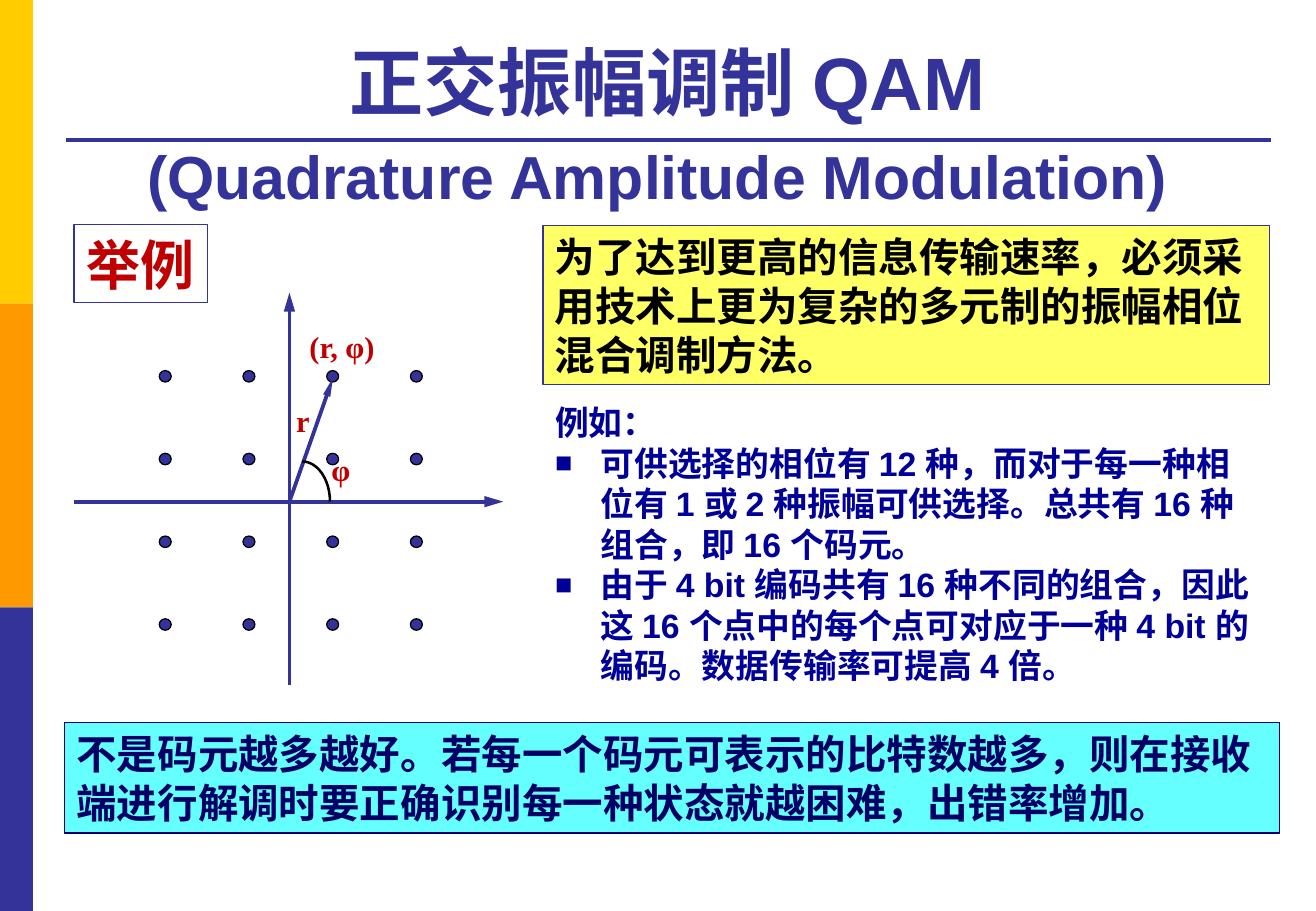
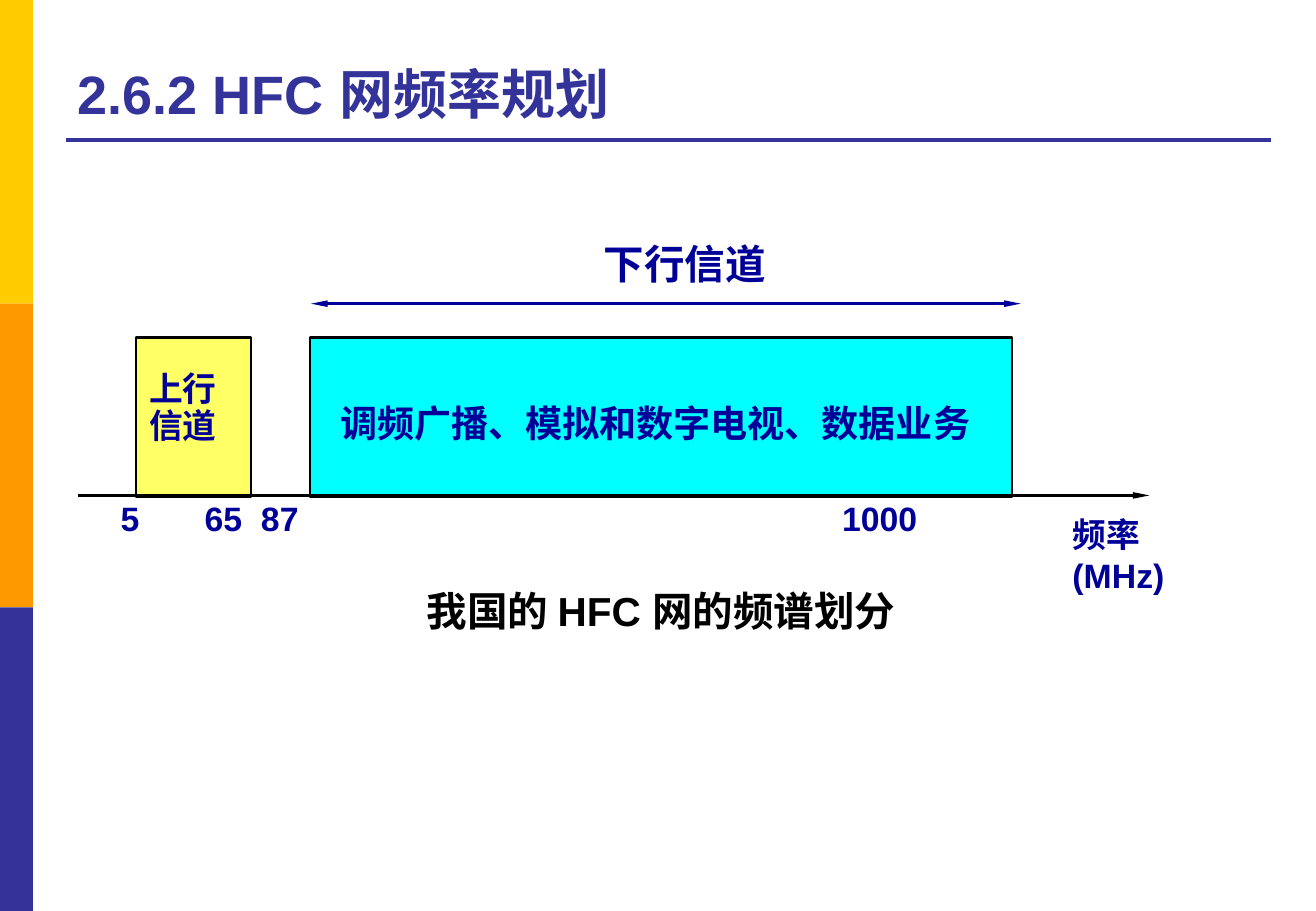
import itertools

import lxml.etree
import pptx
import pptx.dml.color
import pptx.enum.lang
import pptx.enum.shapes
import pptx.enum.text
import pptx.oxml.ns
import pptx.util

Cm = pptx.util.Cm
SHAPE = pptx.enum.shapes.MSO_SHAPE
ALIGN = pptx.enum.text.PP_ALIGN
ANCHOR = pptx.enum.text.MSO_ANCHOR

INDIGO, NAVY, BLACK, RED = "333399", "000099", "000000", "C00000"
YELLOW = "FFFF66"
BAND_COLORS = ("FFCC00", "FF9900", INDIGO)
WIDTH, HEIGHT = 27.51, 19.05


def color(value):
    return pptx.dml.color.RGBColor.from_string(value)


def inside(box, left, top, width, height):
    return box[0] + left, box[1] + top, width, height


def add_xml(parent, tag, **attributes):
    return lxml.etree.SubElement(parent, pptx.oxml.ns.qn(tag), **attributes)


def write_text(para, text, size=20, ink=NAVY, font="Arial"):
    span = para.add_run()
    span.text = text
    span.font.name = font
    span.font.size = pptx.util.Pt(size)
    span.font.bold = True
    span.font.color.rgb = color(ink)
    span.font.language_id = pptx.enum.lang.MSO_LANGUAGE_ID.SIMPLIFIED_CHINESE


def fill_frame(frame, lines, align=ALIGN.LEFT, wrap=True, spacing=None, **style):
    frame.word_wrap = wrap
    for index, line in enumerate(lines):
        para = frame.add_paragraph() if index else frame.paragraphs[0]
        para.alignment = align
        para.line_spacing = spacing
        write_text(para, line, **style)


def add_label(shapes, box, *lines, **style):
    label = shapes.add_textbox(*map(Cm, box))
    fill_frame(label.text_frame, lines, **style)


def add_shape(shapes, kind, box, fill=None, line=None, weight=0.75):
    shape = shapes.add_shape(kind, *map(Cm, box))
    shape.shadow.inherit = False
    if fill:
        shape.fill.solid()
        shape.fill.fore_color.rgb = color(fill)
    else:
        shape.fill.background()
    if line:
        shape.line.color.rgb = color(line)
        shape.line.width = pptx.util.Pt(weight)
    else:
        shape.line.fill.background()
    return shape


def add_text_block(shapes, box, text, fill=None, line=None, **style):
    block = add_shape(shapes, SHAPE.RECTANGLE, box, fill, line)
    fill_frame(block.text_frame, [text], **style)


def add_line(shapes, box, start, end, ink=INDIGO, weight=2.25, heads=(), head_width="med"):
    points = [Cm(box[axis] + point[axis]) for point in (start, end) for axis in (0, 1)]
    line = shapes.add_connector(pptx.enum.shapes.MSO_CONNECTOR.STRAIGHT, *points)
    line.line.color.rgb = color(ink)
    line.line.width = pptx.util.Pt(weight)
    outline = line.line._get_or_add_ln()
    for head in heads:
        add_xml(outline, head, type="triangle", w=head_width, len="lg")
    add_xml(line.element.spPr, "a:effectLst")
    return line


def decorate_master(deck, page):
    band_height = HEIGHT / len(BAND_COLORS)
    parts = [
        add_shape(page.shapes, SHAPE.RECTANGLE, (0, index * band_height, 0.69, band_height), fill)
        for index, fill in enumerate(BAND_COLORS)
    ]
    parts.append(add_line(page.shapes, (1.37, 2.92), (0, 0), (25.2, 0)))
    for number, part in enumerate(parts, 101):
        part.element.xpath(".//p:cNvPr")[0].set("id", str(number))
        deck.slide_master.element.cSld.spTree.append(part.element)


def place(shape, box):
    shape.left, shape.top, shape.width, shape.height = map(Cm, box)


def set_title(page, box, lines, align=ALIGN.LEFT):
    title = page.shapes.title
    place(title, box)
    frame = title.text_frame
    frame.auto_size = pptx.enum.text.MSO_AUTO_SIZE.NONE
    frame.vertical_anchor = ANCHOR.BOTTOM
    para = frame.paragraphs[0]
    para.alignment = align
    for index, (text, size) in enumerate(lines):
        if index:
            para.add_line_break()
        write_text(para, text, size=size, ink=INDIGO)


def set_body(page, box, intro, items):
    body = page.placeholders[1]
    place(body, box)
    frame = body.text_frame
    frame.auto_size = pptx.enum.text.MSO_AUTO_SIZE.NONE
    fill_frame(frame, [intro, *items])
    for index, para in enumerate(frame.paragraphs):
        para.space_before = pptx.util.Pt(0)
        properties = para._p.get_or_add_pPr()
        indent = Cm(0.95) if index else 0
        properties.set("marL", str(indent))
        properties.set("indent", str(-indent))
        if index:
            add_xml(properties, "a:buSzPct", val="85000")
            add_xml(properties, "a:buFont", typeface="Arial")
            add_xml(properties, "a:buChar", char="■")
        else:
            add_xml(properties, "a:buNone")


def draw_constellation(page, box):
    shapes = page.shapes.add_group_shape().shapes
    width, height = box[2:]
    center_x, center_y = 4.5, 4.37
    arrow = ("a:tailEnd",)
    add_line(shapes, box, (center_x, height), (center_x, 0), heads=arrow)
    for column, row in itertools.product(range(4), repeat=2):
        dot = inside(box, 1.78 + 1.75 * column, 1.63 + 1.73 * row, 0.25, 0.24)
        add_shape(shapes, SHAPE.OVAL, dot, INDIGO, BLACK)
    add_line(shapes, box, (0, center_y), (width, center_y), heads=arrow)
    add_line(shapes, box, (center_x, center_y), (5.41, 1.78), heads=arrow, head_width="sm")
    radius_x, radius_y = 0.58, 0.84
    arc = inside(box, 4.77 - radius_x, center_y - radius_y, 2 * radius_x, 2 * radius_y)
    add_shape(shapes, SHAPE.ARC, arc, line=BLACK, weight=1.5)
    for text, left, top, label_width in (
        ("r", 4.39, 2.16, 0.79),
        ("φ", 5.13, 3.2, 0.91),
        ("(r, φ)", 4.67, 0.61, 1.88),
    ):
        add_label(shapes, inside(box, left, top, label_width, 1.02), text,
                  size=18, ink=RED, font="Times New Roman", wrap=False)


def draw_spectrum(page, box):
    shapes = page.shapes
    width = box[2]
    axis_y, band_top, band_height = 5.48, 2.18, 3.33
    down_left, down_width = 4.85, 14.68
    add_line(shapes, box, (4.87, 1.47), (19.71, 1.47), NAVY, 1.5,
             ("a:headEnd", "a:tailEnd"), "sm")
    add_text_block(shapes, inside(box, 10.74, 0, 3.96, 1.27), "下行信道",
                   fill="FFFFFF", size=24, wrap=False)
    for left, band_width, fill in ((1.21, 2.41, YELLOW), (down_left, down_width, "00FFFF")):
        band = inside(box, left, band_top, band_width, band_height)
        add_shape(shapes, SHAPE.RECTANGLE, band, fill, BLACK, 1.5)
    add_label(shapes, inside(box, 1.24, 2.79, 2.29, 1.8), "上行", "信道", spacing=0.9)
    add_label(shapes, inside(box, 5.23, 3.37, 13.92, 1.19),
              "调频广播、模拟和数字电视、数据业务", size=22, wrap=False)
    for frequency, center in (("5", 1.09), ("65", 3.04), ("87", 4.22), ("1000", 16.76)):
        add_label(shapes, inside(box, center - 1.25, 5.41, 2.5, 1.12), frequency,
                  align=ALIGN.CENTER)
    add_label(shapes, inside(box, 20.54, 5.74, 3.89, 1.9), "频率", "(MHz)")
    add_line(shapes, box, (0, axis_y), (width, axis_y), BLACK, 1.5, ("a:tailEnd",), "sm")
    add_label(shapes, inside(box, down_left, 7.24, down_width, 1.27),
              "我国的 HFC 网的频谱划分", size=24, ink=BLACK, align=ALIGN.CENTER)


def build_modulation_page(page):
    set_title(page, (1.37, 0.53, 25.17, 4.09),
              [("正交振幅调制 QAM", 44), ("(Quadrature Amplitude Modulation)", 36)], ALIGN.CENTER)
    write_text(page.shapes.title.text_frame.paragraphs[0], " ", size=44, ink=INDIGO)
    draw_constellation(page, (1.55, 6.12, 8.97, 8.2))
    add_text_block(page.shapes, (1.35, 15.11, 25.4, 2.31),
                   "不是码元越多越好。若每一个码元可表示的比特数越多，则在接收端进行解调时要正确识别每一种状态就越困难，出错率增加。",
                   fill="66FFFF", line="000066", size=24, ink="000066")
    add_text_block(page.shapes, (1.55, 4.7, 2.79, 1.63), "举例",
                   line=INDIGO, size=32, ink=RED, wrap=False)
    add_text_block(page.shapes, (11.35, 4.72, 15.19, 3.33),
                   "为了达到更高的信息传输速率，必须采用技术上更为复杂的多元制的振幅相位混合调制方法。",
                   fill=YELLOW, line=INDIGO, size=24, ink=BLACK)
    set_body(page, (11.35, 8.28, 15.19, 6.25), "例如：", [
        "可供选择的相位有 12 种，而对于每一种相位有 1 或 2 种振幅可供选择。总共有 16 种组合，即 16 个码元。",
        "由于 4 bit 编码共有 16 种不同的组合，因此这 16 个点中的每个点可对应于一种 4 bit 的编码。数据传输率可提高 4 倍。",
    ])


def build_spectrum_page(page):
    set_title(page, (1.37, 0.53, 25.17, 2.21), [("2.6.2 HFC 网频率规划", 32)])
    draw_spectrum(page, (1.63, 4.88, 22.4, 8.5))


def main():
    deck = pptx.Presentation()
    deck.slide_width, deck.slide_height = Cm(WIDTH), Cm(HEIGHT)
    modulation_page = deck.slides.add_slide(deck.slide_layouts[1])
    decorate_master(deck, modulation_page)
    build_modulation_page(modulation_page)
    build_spectrum_page(deck.slides.add_slide(deck.slide_layouts[5]))
    deck.save("out.pptx")


if __name__ == "__main__":
    main()
